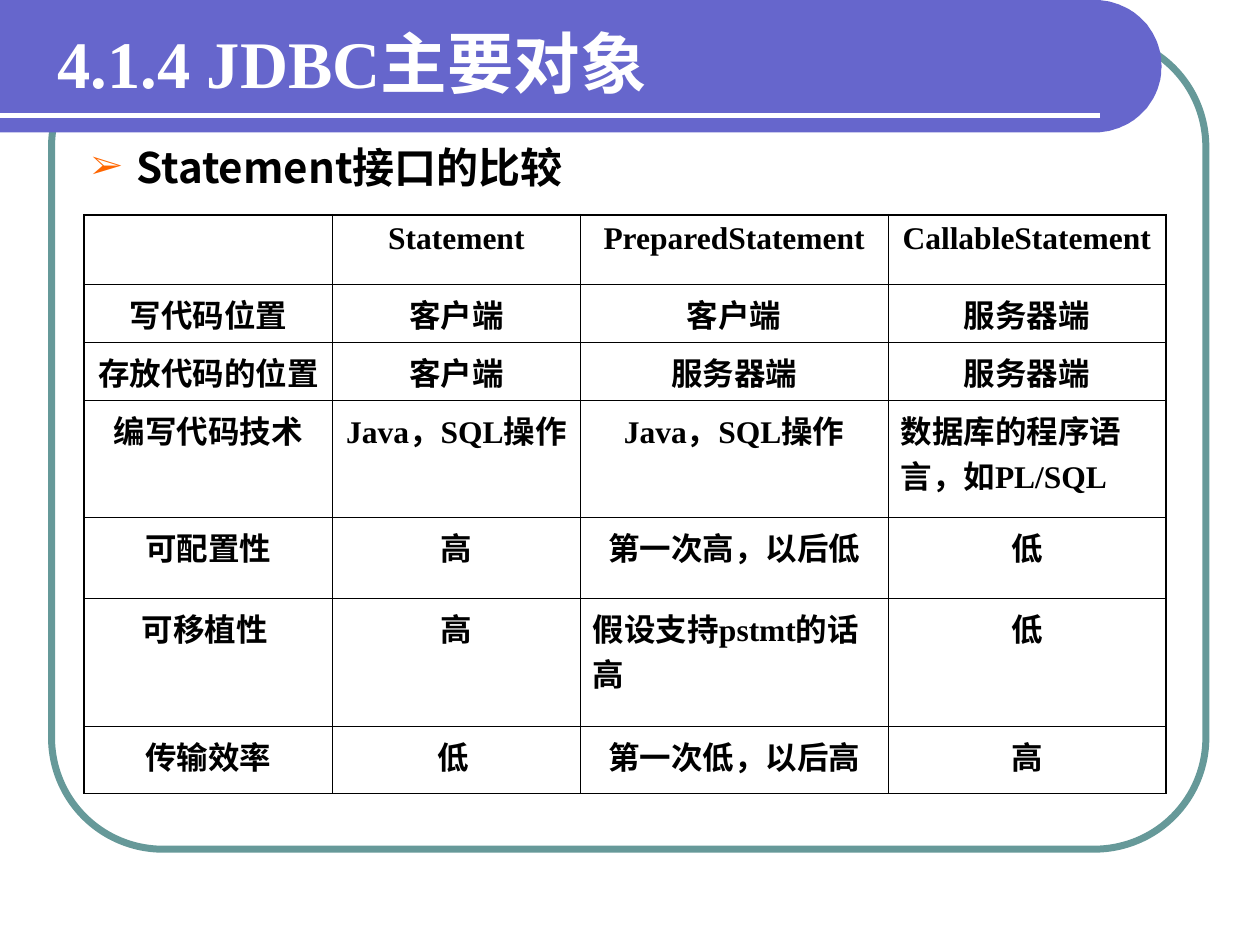
import math
from lxml import etree
from pptx import Presentation
from pptx import util as u
from pptx.dml.color import RGBColor
from pptx.enum import shapes, text
from pptx.oxml.ns import qn

TITLE = "4.1.4 JDBC主要对象"
HEAD = "Statement接口的比较"
ROWS = [
    ("", "Statement", "PreparedStatement", "CallableStatement"),
    ("写代码位置", "客户端", "客户端", "服务器端"),
    ("存放代码的位置", "客户端", "服务器端", "服务器端"),
    ("编写代码技术", "Java，SQL操作", "Java，SQL操作", "数据库的程序语言，如PL/SQL"),
    ("可配置性", "高", "第一次高，以后低", "低"),
    ("可移植性 ", "高", "假设支持pstmt的话高", "低"),
    ("传输效率", "低 ", "第一次低，以后高", "高"),
]
LEFT = {(3, 3), (5, 2)}
WIDE = [5, 5, 6.2, 5.6]
HIGH = [1.4, 1.17, 1.17, 2.36, 1.63, 2.59, 1.35]

WHITE = RGBColor(255, 255, 255)
BLACK = RGBColor(0, 0, 0)
BLUE = RGBColor(0x66, 0x66, 0xCC)
TEAL = RGBColor(0x66, 0x99, 0x99)
SERIF = "Times New Roman"
SANS = "Noto Sans CJK SC"


def write(par, words, size, color, face):
    run = par.add_run()
    run.text = words
    font = run.font
    font.size, font.bold, font.name = u.Pt(size), True, face
    font.color.rgb = color
    east = etree.SubElement(run._r.get_or_add_rPr(), qn("a:ea"))
    east.set("typeface", SANS)


def edge(cell, side, width):
    line = etree.SubElement(cell._tc.get_or_add_tcPr(), qn("a:ln" + side))
    line.set("w", str(u.Pt(width)))
    fill = etree.SubElement(line, qn("a:solidFill"))
    etree.SubElement(fill, qn("a:srgbClr")).set("val", str(BLACK))


def add_frame(slide):
    frame = slide.shapes.add_shape(
        shapes.MSO_SHAPE.ROUNDED_RECTANGLE,
        u.Cm(1.04), u.Cm(0.71), u.Cm(23.27), u.Cm(16.41))
    frame.adjustments[0] = 0.137
    frame.shadow.inherit = False
    frame.fill.background()
    frame.line.color.rgb = TEAL
    frame.line.width = u.Pt(4)


def add_band(slide):
    mid, rad = 2208, 133.5
    turns = [math.radians(deg) for deg in range(-90, 91, 3)]
    arc = [(mid + rad * math.cos(t), rad + rad * math.sin(t)) for t in turns]
    pen = slide.shapes.build_freeform(0, 0, scale=u.Cm(0.01))
    pen.add_line_segments(arc + [(0, 2 * rad)], close=True)
    band = pen.convert_to_shape()
    band.shadow.inherit = False
    band.fill.solid()
    band.fill.fore_color.rgb = BLUE
    band.line.fill.background()

    rule = slide.shapes.add_connector(
        shapes.MSO_CONNECTOR.STRAIGHT, 0, u.Cm(2.33), u.Cm(22.17), u.Cm(2.33))
    rule.line.color.rgb = WHITE
    rule.line.width = u.Pt(3)
    etree.SubElement(rule._element.spPr, qn("a:effectLst"))


def add_title(slide):
    title = slide.shapes.title
    title.left, title.top = u.Cm(0.9), u.Cm(-0.03)
    title.width, title.height = u.Cm(22.28), u.Cm(2.54)
    frame = title.text_frame
    frame.vertical_anchor = text.MSO_ANCHOR.MIDDLE
    frame.auto_size = text.MSO_AUTO_SIZE.NONE
    par = frame.paragraphs[0]
    par.alignment = text.PP_ALIGN.LEFT
    write(par, TITLE, 38, WHITE, SERIF)
    slide.shapes._spTree.append(title._element)


def add_head(slide):
    box = slide.shapes.add_textbox(u.Cm(1.3), u.Cm(2.72), u.Cm(15), u.Cm(1.5))
    box.text_frame.word_wrap = True
    par = box.text_frame.paragraphs[0]
    prop = par._p.get_or_add_pPr()
    prop.set("marL", str(u.Cm(1.2)))
    prop.set("indent", str(u.Cm(-0.9)))
    tint = etree.SubElement(prop, qn("a:buClr"))
    etree.SubElement(tint, qn("a:srgbClr")).set("val", "FF6600")
    etree.SubElement(prop, qn("a:buSzPct")).set("val", "80000")
    etree.SubElement(prop, qn("a:buFont")).set("typeface", SERIF)
    etree.SubElement(prop, qn("a:buChar")).set("char", "➢")
    write(par, HEAD, 24, BLACK, SANS)


def add_grid(slide):
    rows, cols = len(HIGH), len(WIDE)
    grid = slide.shapes.add_table(
        rows, cols, u.Cm(1.7), u.Cm(4.33),
        u.Cm(sum(WIDE)), u.Cm(sum(HIGH))).table
    for col, wide in zip(grid.columns, WIDE):
        col.width = u.Cm(wide)
    for row, high in zip(grid.rows, HIGH):
        row.height = u.Cm(high)
    for r, row in enumerate(ROWS):
        for c, words in enumerate(row):
            cell = grid.cell(r, c)
            outer = {"L": c == 0, "R": c == cols - 1,
                     "T": r == 0, "B": r == rows - 1}
            for side, out in outer.items():
                edge(cell, side, 1.08 if out else 0.45)
            cell.fill.background()
            par = cell.text_frame.paragraphs[0]
            flush = (r, c) in LEFT
            par.alignment = text.PP_ALIGN.LEFT if flush else text.PP_ALIGN.CENTER
            par._p.get_or_add_pPr().set("hangingPunct", "0")
            if words:
                write(par, words, 18, BLACK, SERIF)


def main():
    deck = Presentation()
    deck.slide_width, deck.slide_height = u.Cm(25.4), u.Cm(19.05)
    slide = deck.slides.add_slide(deck.slide_layouts[5])
    for add in (add_frame, add_band, add_title, add_head, add_grid):
        add(slide)
    deck.save("out.pptx")


if __name__ == "__main__":
    main()
